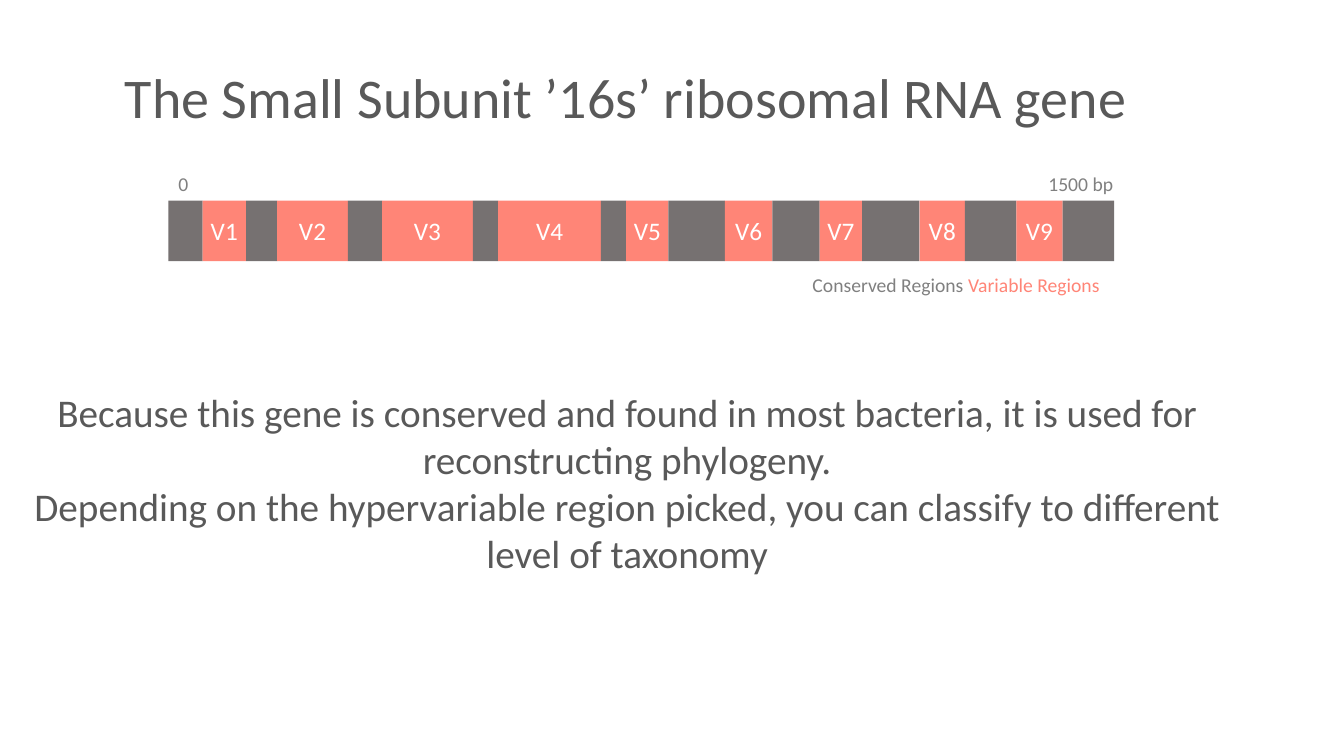
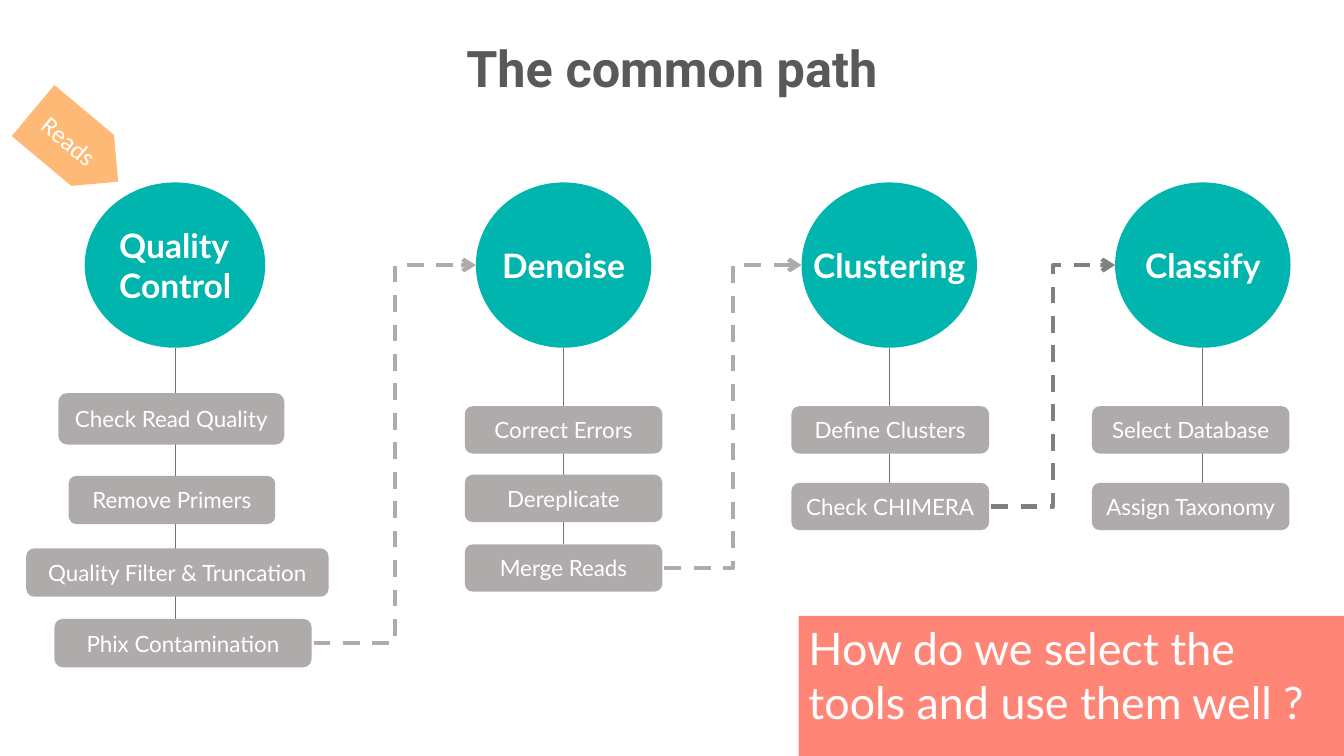
from dataclasses import dataclass
from itertools import pairwise
from typing import Optional

from pptx import Presentation, slide as sl, util as u
from pptx.dml.color import RGBColor
from pptx.enum import dml, shapes, text
from pptx.oxml import ns, xmlchemy as xml
from pptx.text import text as txt


@dataclass(frozen=True)
class Theme:
    ink: str = "595959"
    white: str = "FFFFFF"
    dark_grey: str = "767171"
    mid_grey: str = "808080"
    light_grey: str = "AFABAB"
    coral: str = "FF8577"
    teal: str = "00B5AD"
    orange: str = "FFB977"
    calibri: str = "Calibri"
    lato: str = "Lato"
    roboto: str = "Roboto"
    small: int = 14
    step: int = 16
    label: int = 18
    stage: int = 24
    body: int = 28
    callout: int = 32
    heading: int = 36
    title: int = 40


T = Theme()
SHAPE = shapes.MSO_SHAPE
ALIGN = text.PP_ALIGN
ANCHOR = text.MSO_ANCHOR


@dataclass(frozen=True)
class Box:
    left: float
    top: float
    width: float
    height: float

    @property
    def right(self) -> float:
        return self.left + self.width

    @property
    def bottom(self) -> float:
        return self.top + self.height

    @property
    def center_x(self) -> float:
        return self.left + self.width / 2

    @property
    def center_y(self) -> float:
        return self.top + self.height / 2

    def lengths(self) -> tuple[u.Length, ...]:
        return tuple(u.Inches(v) for v in (self.left, self.top, self.width, self.height))


@dataclass(frozen=True)
class Style:
    font: str
    size: int
    color: str = T.white
    bold: bool = False
    align: text.PP_ALIGN = ALIGN.CENTER


@dataclass(frozen=True)
class Step:
    text: str
    box: Box


@dataclass(frozen=True)
class Stage:
    name: str
    circle: Box
    steps: tuple[Step, ...]
    link_color: Optional[str] = None


def format_text(tf: txt.TextFrame, style: Style) -> None:
    for p in tf.paragraphs:
        p.alignment = style.align
        p.space_before = u.Pt(0)
        for r in p.runs:
            r.font.name = style.font
            r.font.size = u.Pt(style.size)
            r.font.bold = style.bold
            r.font.color.rgb = RGBColor.from_string(style.color)


def fill_placeholder(sp, words: str, box: Box, style: Style) -> None:
    sp.left, sp.top, sp.width, sp.height = box.lengths()
    tf = sp.text_frame
    tf.text = words
    tf.auto_size = text.MSO_AUTO_SIZE.NONE
    tf.vertical_anchor = ANCHOR.TOP
    for p in tf.paragraphs:
        pPr = p._p.get_or_add_pPr()
        pPr.set("marL", "0")
        pPr.set("indent", "0")
        pPr.append(xml.OxmlElement("a:buNone"))
    format_text(tf, style)


def add_label(s: sl.Slide, words: str, box: Box, style: Style) -> txt.TextFrame:
    tf = s.shapes.add_textbox(*box.lengths()).text_frame
    tf.word_wrap = True
    tf.text = words
    format_text(tf, style)
    return tf


def add_block(s: sl.Slide, kind: SHAPE, box: Box, fill: str,
              words: str = "", style: Optional[Style] = None):
    sp = s.shapes.add_shape(kind, *box.lengths())
    sp.shadow.inherit = False
    sp.fill.solid()
    sp.fill.fore_color.rgb = RGBColor.from_string(fill)
    sp.line.fill.background()
    if style:
        tf = sp.text_frame
        tf.margin_left = tf.margin_right = 0
        tf.vertical_anchor = ANCHOR.MIDDLE
        tf.text = words
        format_text(tf, style)
    return sp


def add_line(s: sl.Slide, kind: shapes.MSO_CONNECTOR, start: tuple[float, float],
             end: tuple[float, float], color: str, width: float):
    c = s.shapes.add_connector(kind, *(u.Inches(v) for v in (*start, *end)))
    c.line.color.rgb = RGBColor.from_string(color)
    c.line.width = u.Pt(width)
    c._element.spPr.append(xml.OxmlElement("a:effectLst"))
    return c


def add_link(s: sl.Slide, source: Box, target: Box, color: str) -> None:
    c = add_line(s, shapes.MSO_CONNECTOR.ELBOW, (source.right + 0.02, source.center_y),
                 (target.left, target.center_y), color, 3)
    c.line.dash_style = dml.MSO_LINE.DASH
    tail = xml.OxmlElement("a:tailEnd")
    tail.set("type", "arrow")
    c._element.spPr.find(ns.qn("a:ln")).append(tail)


def add_stage(s: sl.Slide, stage: Stage) -> None:
    x = stage.circle.center_x
    add_line(s, shapes.MSO_CONNECTOR.STRAIGHT, (x, stage.circle.bottom),
             (x, stage.steps[-1].box.top), T.dark_grey, 0.5)
    for step in stage.steps:
        add_block(s, SHAPE.ROUNDED_RECTANGLE, step.box, T.light_grey,
                  step.text, Style(T.lato, T.step))
    two_lines = "\n" in stage.name
    align = ALIGN.LEFT if two_lines else ALIGN.CENTER
    sp = add_block(s, SHAPE.OVAL, stage.circle, T.teal, stage.name,
                   Style(T.lato, T.stage, bold=True, align=align))
    sp.text_frame.word_wrap = two_lines
    if two_lines:
        sp.text_frame.margin_left = u.Inches(0.08)


def column(left: float, *steps: tuple[str, float]) -> tuple[Step, ...]:
    return tuple(Step(name, Box(left, top, 1.96, 0.47)) for name, top in steps)


REGION_EDGES = (1.67, 2.01, 2.44, 2.75, 3.45, 3.79, 4.69, 4.94, 5.96, 6.21,
                6.63, 7.19, 7.66, 8.13, 8.55, 9.12, 9.57, 10.08, 10.54, 11.05)

STAGES = (
    Stage("Quality\nControl", Box(0.84, 1.81, 1.79, 1.64), (
        Step("Check Read Quality", Box(0.58, 3.9, 2.24, 0.51)),
        Step("Remove Primers", Box(0.68, 4.72, 2.05, 0.48)),
        Step("Quality Filter & Truncation", Box(0.26, 5.44, 3, 0.48)),
        Step("Phix Contamination", Box(0.54, 6.14, 2.55, 0.48)),
    ), T.light_grey),
    Stage("Denoise", Box(4.72, 1.81, 1.74, 1.64),
          column(4.61, ("Correct Errors", 4.03), ("Dereplicate", 4.71),
                 ("Merge Reads", 5.4)), T.light_grey),
    Stage("Clustering", Box(7.95, 1.81, 1.74, 1.64),
          column(7.85, ("Define Clusters", 4.03), ("Check CHIMERA", 4.79)), T.mid_grey),
    Stage("Classify", Box(11.06, 1.81, 1.74, 1.64),
          column(10.83, ("Select Database", 4.03), ("Assign Taxonomy", 4.79))),
)


def build_gene_slide(prs: Presentation) -> None:
    s = prs.slides.add_slide(prs.slide_layouts.get_by_name("Title and Content"))
    fill_placeholder(s.shapes.title, "The Small Subunit ’16s’ ribosomal RNA gene",
                     Box(1.09, 0.57, 10.23, 0.77), Style(T.calibri, T.title, T.ink))
    fill_placeholder(
        s.placeholders[1],
        "Because this gene is conserved and found in most bacteria, it is used for "
        "reconstructing phylogeny.\nDepending on the hypervariable region picked, "
        "you can classify to different level of taxonomy",
        Box(0.01, 3.8, 12.42, 1.99), Style(T.calibri, T.body, T.ink))

    for i, (left, right) in enumerate(pairwise(REGION_EDGES)):
        variable = i % 2 == 1
        add_block(s, SHAPE.RECTANGLE, Box(left, 1.99, right - left, 0.6),
                  T.coral if variable else T.dark_grey,
                  f"V{i // 2 + 1}" if variable else "",
                  Style(T.calibri, T.label) if variable else None)

    left_style = Style(T.calibri, T.small, T.mid_grey, align=ALIGN.LEFT)
    right_style = Style(T.calibri, T.small, T.mid_grey, align=ALIGN.RIGHT)
    add_label(s, "0", Box(1.67, 1.66, 0.3, 0.34), left_style)
    add_label(s, "1500 bp", Box(10.14, 1.66, 1, 0.34), right_style)
    tf = add_label(s, "Conserved Regions ", Box(7.96, 2.66, 3.08, 0.34), left_style)
    r = tf.paragraphs[0].add_run()
    r.text = "Variable Regions"
    format_text(tf, left_style)
    r.font.color.rgb = RGBColor.from_string(T.coral)


def build_path_slide(prs: Presentation) -> None:
    s = prs.slides.add_slide(prs.slide_layouts.get_by_name("Title Only"))
    fill_placeholder(s.shapes.title, "The common path", Box(0, 0.32, 13.33, 0.71),
                     Style(T.roboto, T.heading, T.ink, bold=True))
    for stage in STAGES:
        add_stage(s, stage)
    for stage, following in pairwise(STAGES):
        add_link(s, stage.steps[-1].box, following.circle, stage.link_color)

    reads = add_block(s, SHAPE.PENTAGON, Box(0.2, 1.12, 1.1, 0.66), T.orange,
                      "Reads", Style(T.calibri, T.label))
    reads.rotation = 39.9
    question = add_block(s, SHAPE.RECTANGLE, Box(7.92, 6.11, 5.41, 1.39), T.coral,
                         "How do we select the tools and use them well ?",
                         Style(T.lato, T.callout, align=ALIGN.LEFT))
    tf = question.text_frame
    tf.vertical_anchor = ANCHOR.TOP
    tf.margin_left = tf.margin_right = u.Inches(0.1)


def main() -> None:
    prs = Presentation()
    prs.slide_width, prs.slide_height = u.Inches(13.33), u.Inches(7.5)
    build_gene_slide(prs)
    build_path_slide(prs)
    prs.save("out.pptx")


if __name__ == "__main__":
    main()
